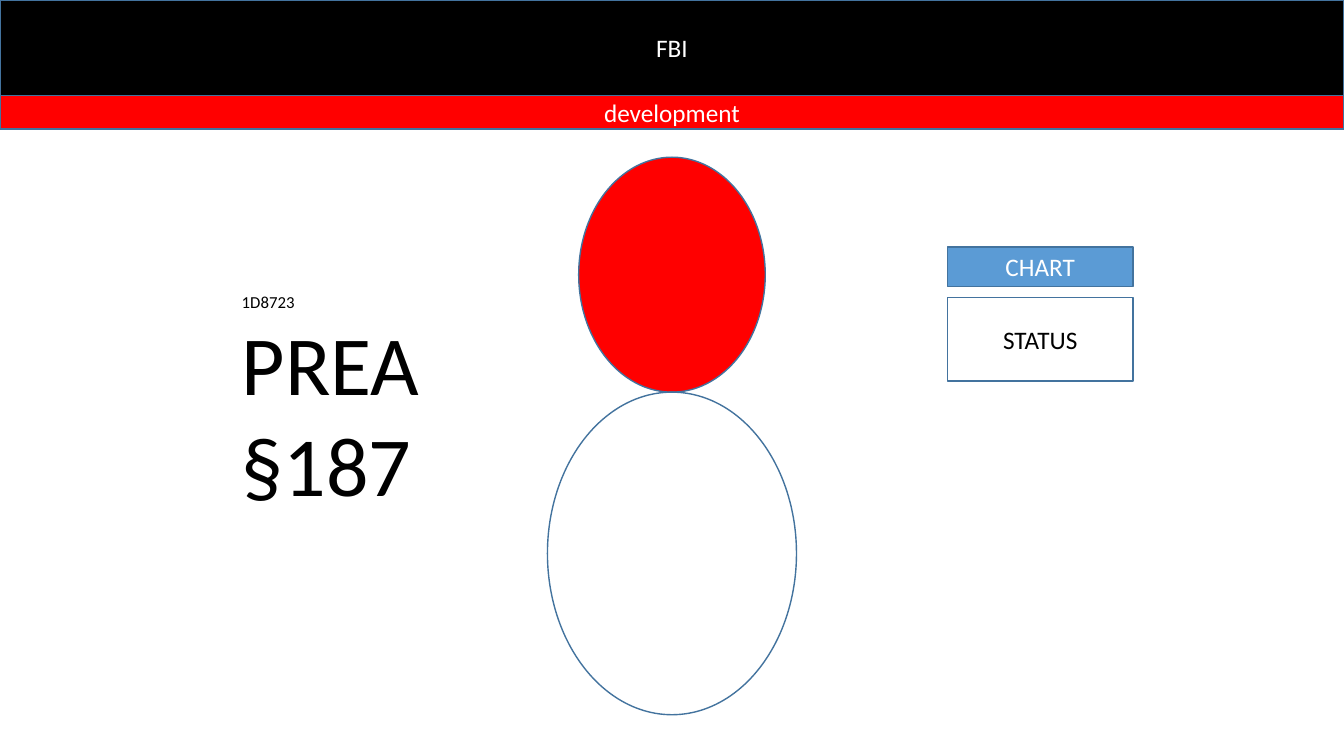
import dataclasses
import typing

import pptx
import pptx.dml.color
import pptx.enum.shapes
import pptx.enum.text
import pptx.util

RGBColor = pptx.dml.color.RGBColor
BLACK = RGBColor(0x00, 0x00, 0x00)
WHITE = RGBColor(0xFF, 0xFF, 0xFF)
RED = RGBColor(0xFF, 0x00, 0x00)
BLUE = RGBColor(0x5B, 0x9B, 0xD5)
OUTLINE = RGBColor(0x43, 0x73, 0x9E)

RECTANGLE = pptx.enum.shapes.MSO_SHAPE.RECTANGLE
OVAL = pptx.enum.shapes.MSO_SHAPE.OVAL
LEFT = pptx.enum.text.PP_ALIGN.LEFT
CENTER = pptx.enum.text.PP_ALIGN.CENTER

SLIDE_WIDTH = pptx.util.Inches(13.33)
SLIDE_HEIGHT = pptx.util.Inches(7.5)
FONT_NAME = "Calibri"


@dataclasses.dataclass(frozen=True)
class Area:
    """Percent shares of the slide's width and height."""
    left: float
    top: float
    width: float
    height: float

    def lengths(self) -> tuple[int, int, int, int]:
        return (
            round(SLIDE_WIDTH * self.left / 100),
            round(SLIDE_HEIGHT * self.top / 100),
            round(SLIDE_WIDTH * self.width / 100),
            round(SLIDE_HEIGHT * self.height / 100),
        )


@dataclasses.dataclass(frozen=True)
class Figure:
    area: Area
    fill: RGBColor
    kind: pptx.enum.shapes.MSO_SHAPE = RECTANGLE
    text: str = ""
    text_color: RGBColor = WHITE


@dataclasses.dataclass(frozen=True)
class Line:
    text: str
    size: int


def centered(top: float, width: float, height: float) -> Area:
    return Area((100 - width) / 2, top, width, height)


HEADER_HEIGHT = 12.67
HEAD_TOP, HEAD_HEIGHT = 20.8, 31.07
BUTTON_LEFT, BUTTON_WIDTH = 70.5, 13.8

FIGURES = (
    Figure(centered(HEAD_TOP, 13.88, HEAD_HEIGHT), RED, OVAL),
    Figure(centered(HEAD_TOP + HEAD_HEIGHT, 18.53, 42.67), WHITE, OVAL),
    Figure(centered(0, 100, HEADER_HEIGHT), BLACK, text="FBI"),
    Figure(centered(HEADER_HEIGHT, 100, 4.4), RED, text="development"),
    Figure(Area(BUTTON_LEFT, 32.67, BUTTON_WIDTH, 5.2), BLUE, text="CHART"),
    Figure(Area(BUTTON_LEFT, 39.33, BUTTON_WIDTH, 11.07), WHITE,
           text="STATUS", text_color=BLACK),
)
RECORD_AREA = Area(17.25, 37.87, 14.85, 39.07)
RECORD_LINES = (Line("1D8723", 12), Line("PREA", 60), Line("§187", 60))


def set_attributes(target: typing.Any, values: dict[str, typing.Any]) -> None:
    for name, value in values.items():
        setattr(target, name, value)


def write_line(paragraph: typing.Any, line: Line, color: RGBColor,
               alignment: pptx.enum.text.PP_ALIGN) -> None:
    paragraph.alignment = alignment
    run = paragraph.add_run()
    run.text = line.text
    set_attributes(run.font, {"name": FONT_NAME,
                              "size": pptx.util.Pt(line.size)})
    run.font.color.rgb = color


def draw_figure(slide: typing.Any, figure: Figure) -> None:
    shape = slide.shapes.add_shape(figure.kind, *figure.area.lengths())
    shape.shadow.inherit = False
    shape.fill.solid()
    shape.fill.fore_color.rgb = figure.fill
    shape.line.color.rgb = OUTLINE
    shape.line.width = pptx.util.Pt(1)
    if figure.text:
        frame = shape.text_frame
        set_attributes(frame, {
            "word_wrap": True,
            "vertical_anchor": pptx.enum.text.MSO_ANCHOR.MIDDLE,
        })
        write_line(frame.paragraphs[0], Line(figure.text, 18),
                   figure.text_color, CENTER)


def draw_record(slide: typing.Any, area: Area,
                lines: tuple[Line, ...]) -> None:
    frame = slide.shapes.add_textbox(*area.lengths()).text_frame
    set_attributes(frame, {
        "word_wrap": False,
        "auto_size": pptx.enum.text.MSO_AUTO_SIZE.SHAPE_TO_FIT_TEXT,
    })
    for index, line in enumerate(lines):
        paragraph = frame.add_paragraph() if index else frame.paragraphs[0]
        write_line(paragraph, line, BLACK, LEFT)


def main() -> None:
    presentation = pptx.Presentation()
    set_attributes(presentation, {"slide_width": SLIDE_WIDTH,
                                  "slide_height": SLIDE_HEIGHT})
    slide = presentation.slides.add_slide(presentation.slide_layouts[6])
    for figure in FIGURES:
        draw_figure(slide, figure)
    draw_record(slide, RECORD_AREA, RECORD_LINES)
    presentation.save("out.pptx")


if __name__ == "__main__":
    main()
